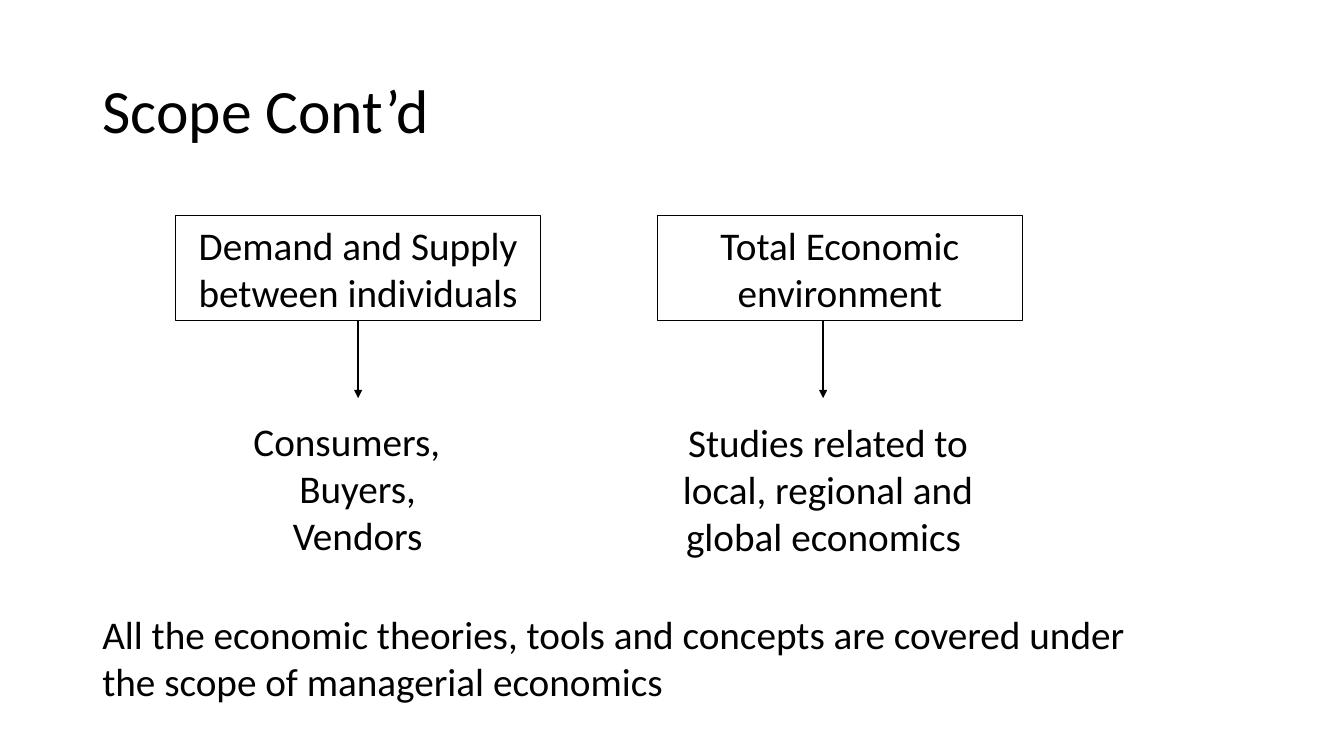
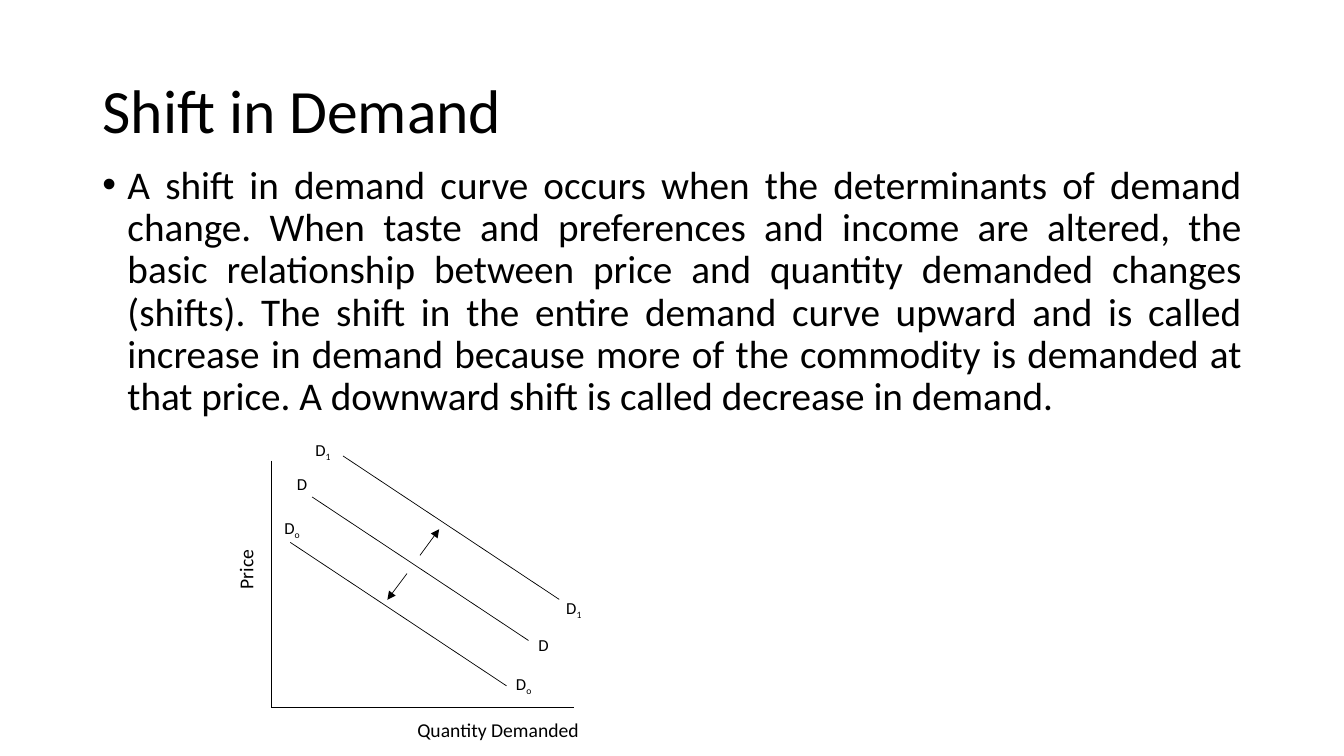
from pptx import Presentation
from pptx.dml.color import RGBColor
from pptx.enum.shapes import MSO_CONNECTOR as CONN, MSO_SHAPE as SHAPE
from pptx.enum.text import MSO_ANCHOR as ANCHOR, PP_ALIGN as ALIGN
from pptx.oxml.ns import qn
from pptx.util import Pt
from lxml.etree import SubElement

INK = "000000"
FONT = "Calibri"
TITLE_BOX = (66, 29, 828, 104)
BODY_SIZE = 28
LABEL_SIZE = 12
AXIS_SIZE = 14
BOX_SIZE = (261, 75)
CURVE_RUN, CURVE_DROP = 154.5, 102.5
LABEL_BOX = (31, 29)


def color(value):
    return RGBColor.from_string(value)


def apply(target, formats):
    for name, value in formats.items():
        setattr(target, name, value)


def add_run(p, text, size):
    r = p.add_run()
    r.text = text
    apply(r.font, {"name": FONT, "size": Pt(size)})
    r.font.color.rgb = color(INK)
    return r


def write(sp, lines, size, anchor=ANCHOR.TOP, **formats):
    tf = sp.text_frame
    apply(tf, {"word_wrap": True, "vertical_anchor": anchor})
    for i, line in enumerate(lines):
        p = tf.add_paragraph() if i else tf.paragraphs[0]
        apply(p, {"alignment": ALIGN.LEFT, **formats})
        add_run(p, line, size)
    return tf.paragraphs


def add_slide(prs, title):
    s = prs.slides.add_slide(prs.slide_layouts[5])
    sp = s.shapes.title
    apply(sp, dict(zip(("left", "top", "width", "height"), map(Pt, TITLE_BOX))))
    write(sp, [title], 44, ANCHOR.MIDDLE, line_spacing=0.9)
    return s


def add_text(s, box, lines, size=BODY_SIZE, **formats):
    sp = s.shapes.add_textbox(*map(Pt, box))
    return sp, write(sp, lines, size, **formats)


def add_bullet(s, box, text):
    _, (p,) = add_text(s, box, [text], alignment=ALIGN.JUSTIFY,
                       line_spacing=0.9, space_before=Pt(10))
    pPr = p._p.get_or_add_pPr()
    indent = Pt(18)
    pPr.set("marL", str(indent))
    pPr.set("indent", str(-indent))
    SubElement(pPr, qn("a:buFont")).set("typeface", "Arial")
    SubElement(pPr, qn("a:buChar")).set("char", "•")


def add_box(s, left, top, text):
    sp = s.shapes.add_shape(SHAPE.RECTANGLE, *map(Pt, (left, top, *BOX_SIZE)))
    sp.shadow.inherit = False
    sp.fill.background()
    sp.line.color.rgb = color(INK)
    sp.line.width = Pt(0.75)
    write(sp, [text], BODY_SIZE, alignment=ALIGN.CENTER)
    return sp


def add_line(s, start, end, width=0.5, arrow=False):
    line = s.shapes.add_connector(CONN.STRAIGHT, *map(Pt, (*start, *end)))
    line.line.color.rgb = color(INK)
    line.line.width = Pt(width)
    if arrow:
        SubElement(line.line._get_or_add_ln(), qn("a:tailEnd")).set("type", "triangle")
    SubElement(line._element.spPr, qn("a:effectLst"))
    return line


def add_curve_label(s, corner, sub):
    _, (p,) = add_text(s, (*corner, *LABEL_BOX), ["D"], LABEL_SIZE)
    if sub:
        r = add_run(p, sub, LABEL_SIZE)
        r._r.get_or_add_rPr().set("baseline", "-25000")


def add_curve(s, start, first_label, last_label, sub):
    x, y = start
    add_line(s, start, (x + CURVE_RUN, y + CURVE_DROP))
    for corner in (first_label, last_label):
        add_curve_label(s, corner, sub)


def build_scope(prs):
    s = add_slide(prs, "Scope Cont’d")
    top, arrow_end = 154.3, 284.4
    bottom = top + BOX_SIZE[1]
    demand = add_box(s, 125.3, top, "Demand and Supply between individuals")
    add_box(s, 469.4, top, "Total Economic environment")
    middle = 125.3 + BOX_SIZE[0] / 2
    arrow = add_line(s, (middle, bottom), (middle, arrow_end), 1.5, True)
    arrow.begin_connect(demand, 2)
    add_line(s, (588, bottom), (588, arrow_end), 1.5, True)
    _, parties = add_text(s, (174, 294.5, 163, 109), ["Consumers,", "Buyers,", "Vendors"],
                          alignment=ALIGN.CENTER)
    parties[0].alignment = ALIGN.LEFT
    add_text(s, (469.4, 295.2, 244, 109),
             ["Studies related to local, regional and global economics "],
             alignment=ALIGN.CENTER)
    add_text(s, (66, 432.7, 755, 75),
             ["All the economic theories, tools and concepts are covered under "
              "the scope of managerial economics"])


def build_shift(prs):
    s = add_slide(prs, "Shift in Demand")
    add_bullet(s, (66, 114.5, 828, 343),
               "A shift in demand curve occurs when the determinants of demand change. "
               "When taste and preferences and income are altered, the basic relationship "
               "between price and quantity demanded changes (shifts). The shift in the "
               "entire demand curve upward and is called increase in demand because more "
               "of the commodity is demanded at that price. A downward shift is called "
               "decrease in demand.")
    origin = (193.7, 505.5)
    add_line(s, (193.7, 329), origin)
    add_line(s, origin, (409.7, 505.5))
    for curve in (
        ((223, 355), (205, 335), (377.5, 450), ""),
        ((207.3, 387.4), (196, 366), (361.5, 477.5), "o"),
        ((245, 325.7), (218.2, 310.3), (397.4, 423.4), "1"),
    ):
        add_curve(s, *curve)
    add_line(s, (300, 396.7), (313.7, 378), arrow=True)
    add_line(s, (290.7, 409.7), (276.7, 428.4), arrow=True)
    add_text(s, (291, 509, 169, 29), ["Quantity Demanded"], AXIS_SIZE)
    price, _ = add_text(s, (154, 389.5, 48, 29), ["Price"], AXIS_SIZE)
    price.rotation = 270


def main():
    prs = Presentation()
    apply(prs, {"slide_width": Pt(960), "slide_height": Pt(540)})
    build_scope(prs)
    build_shift(prs)
    prs.save("out.pptx")


if __name__ == "__main__":
    main()
